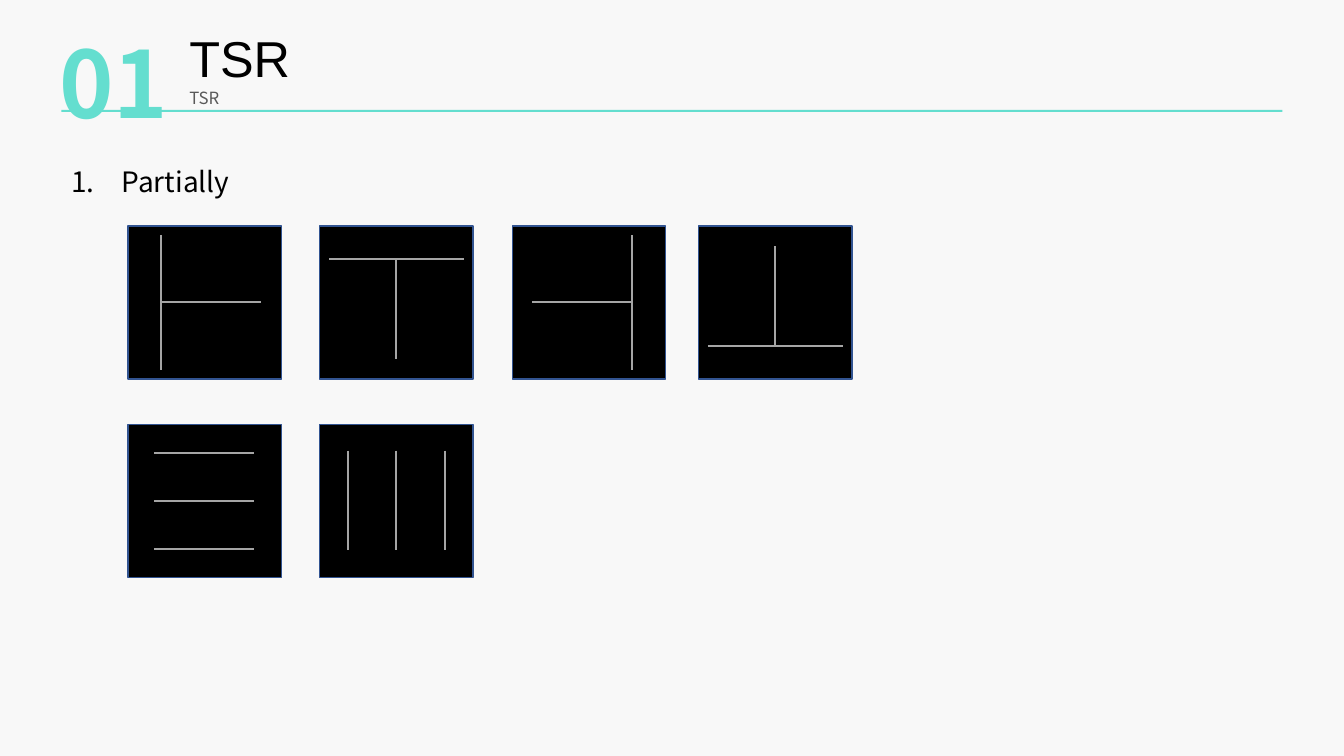
"""Build the TSR slide with its six partial line patterns."""
from collections import namedtuple
from lxml.etree import SubElement
from pptx import Presentation
from pptx.dml.color import RGBColor as RGB
from pptx.enum.shapes import MSO_CONNECTOR as LINK, MSO_SHAPE as SHAPE
from pptx.enum.text import MSO_AUTO_SIZE as FIT
from pptx.oxml.ns import qn
from pptx.util import Inches, Pt

Theme = namedtuple("Theme", "back mint ink grey tile edge bar sans cjk huge head body small")
theme = Theme(
    back=RGB.from_string("F8F8F8"), mint=RGB.from_string("64DECF"),
    ink=RGB.from_string("000000"), grey=RGB.from_string("595959"),
    tile=RGB.from_string("000000"), edge=RGB.from_string("325491"),
    bar=RGB.from_string("A5A5A5"), sans="Arial", cjk="Noto Sans CJK KR",
    huge=Pt(66), head=Pt(36), body=Pt(20), small=Pt(12))


def add_text(shapes, box, text, styles, wrap=True, fit=FIT.NONE):
    """Add a text box with one (font, size, colour, bold) style per paragraph."""
    frame = shapes.add_textbox(*map(Inches, box)).text_frame
    frame.text = text
    frame.word_wrap = wrap
    frame.auto_size = fit
    for para, (name, size, color, bold) in zip(frame.paragraphs, styles):
        font = para.runs[0].font
        font.name, font.size, font.bold = name, size, bold
        font.color.rgb = color
    return frame


def add_rect(shapes, box, fill):
    """Add a flat rectangle without an outline."""
    rect = shapes.add_shape(SHAPE.RECTANGLE, *map(Inches, box))
    rect.shadow.inherit = False
    rect.fill.solid()
    rect.fill.fore_color.rgb = fill
    rect.line.fill.background()
    return rect


deck = Presentation()
deck.slide_width, deck.slide_height = Inches(13.33), Inches(7.5)
slide = deck.slides.add_slide(deck.slide_layouts[6])
slide.background.fill.solid()
slide.background.fill.fore_color.rgb = theme.back

add_rect(slide.shapes, (0.61, 1.09, 12.11, 0.02), theme.mint)
header = slide.shapes.add_group_shape().shapes
add_text(header, (1.78, 0.22, 4.88, 0.91), "TSR\nTSR",
         [(theme.sans, theme.head, theme.ink, False),
          (theme.cjk, theme.small, theme.grey, False)], fit=FIT.SHAPE_TO_FIT_TEXT)
add_text(header, (0.49, 0.21, 1.29, 1.21), "01",
         [(theme.cjk, theme.huge, theme.mint, True)], wrap=False, fit=FIT.SHAPE_TO_FIT_TEXT)

body = add_text(slide.shapes, (0.61, 1.42, 12.11, 5.34), "Partially",
                [(theme.cjk, theme.body, theme.ink, False)])
item = body.paragraphs[0]
item.line_spacing = 1.5
item.space_before = Pt(10)
props = item._p.get_or_add_pPr()
props.set("marL", str(Inches(0.5)))
props.set("indent", str(Inches(-0.5)))
SubElement(props, qn("a:buFont"), typeface="+mj-lt")
SubElement(props, qn("a:buAutoNum"), type="arabicPeriod")

side = 1.52
tee = [(-0.43, -0.67, -0.43, 0.67), (-0.43, 0, 0.56, 0)]
bars = [(-0.5, y, 0.49, y) for y in (-0.48, 0, 0.48)]
tiles = [(tee, turn, left, 2.24) for turn, left in enumerate((1.27, 3.17, 5.08, 6.93))]
tiles += [(bars, turn, left, 4.21) for turn, left in enumerate((1.27, 3.17))]
turns = [(1, 0), (0, 1), (-1, 0), (0, -1)]

for strokes, turn, left, top in tiles:
    group = slide.shapes.add_group_shape().shapes
    tile = add_rect(group, (left, top, side, side), theme.tile)
    tile.rotation = 90 * turn
    tile.line.color.rgb = theme.edge
    tile.line.width = Pt(1)
    cos, sin = turns[turn]
    mid_x, mid_y = left + side / 2, top + side / 2
    for x1, y1, x2, y2 in strokes:
        ends = [(mid_x + x * cos - y * sin, mid_y + x * sin + y * cos)
                for x, y in ((x1, y1), (x2, y2))]
        line = group.add_connector(LINK.STRAIGHT, *(Inches(n) for end in ends for n in end))
        line.line.color.rgb = theme.bar
        line.line.width = Pt(1.5)
        SubElement(line._element.spPr, qn("a:effectLst"))

deck.save("out.pptx")
